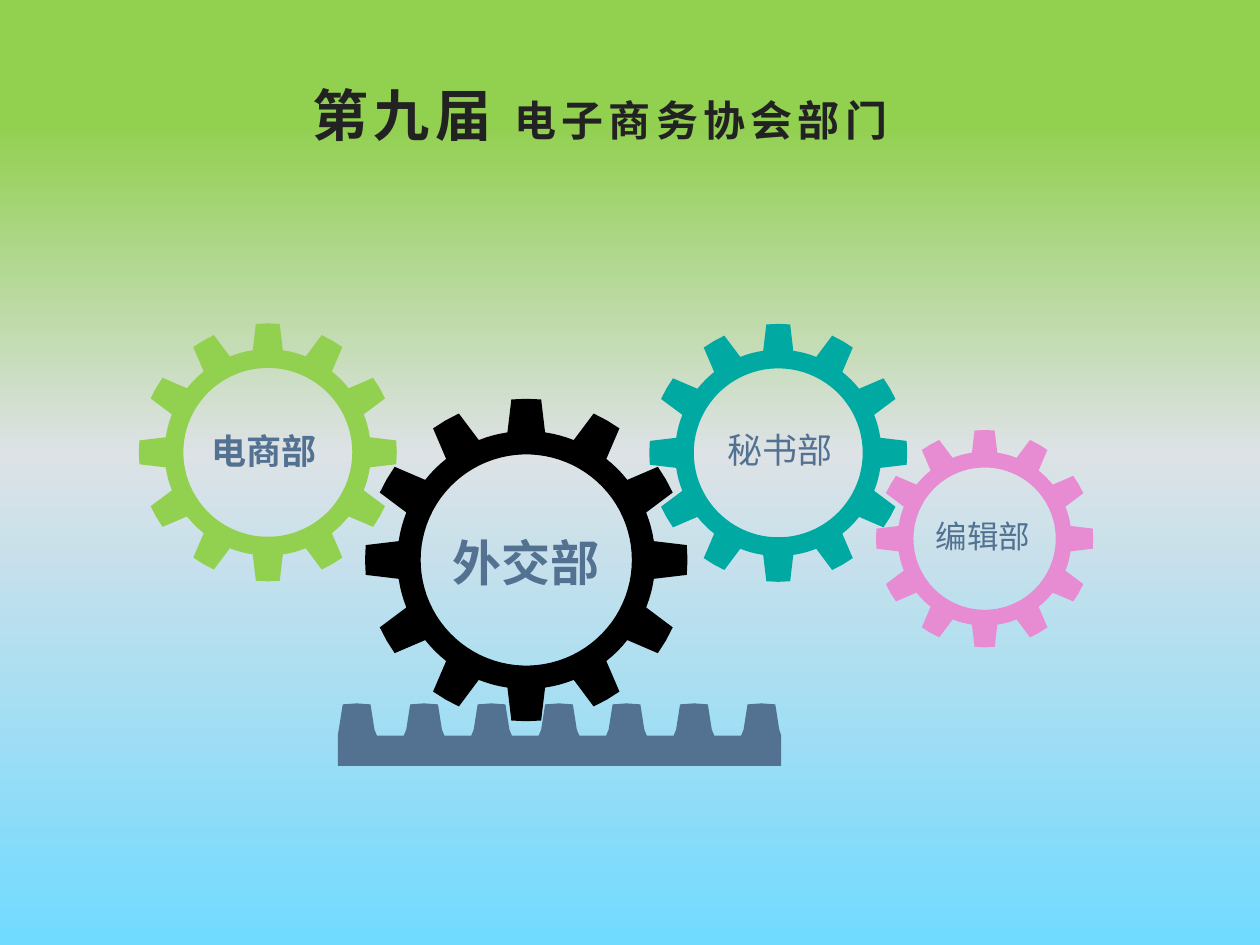
from copy import deepcopy
from dataclasses import dataclass
from math import cos, radians, sin

from lxml.etree import SubElement
from pptx import Presentation
from pptx.dml.color import RGBColor
from pptx.enum.text import MSO_AUTO_SIZE, PP_ALIGN
from pptx.oxml.ns import qn
from pptx.util import Cm, Pt


@dataclass(frozen=True)
class Theme:
    sky: tuple = ((0.13, "92D050"), (0.48, "DDE2E6"), (1, "71DAFF"))
    title: str = "222222"
    slate: str = "537292"
    pink: str = "E78BD3"
    teal: str = "00AAA2"
    green: str = "92D050"
    black: str = "000000"
    title_font: str = "Noto Sans CJK JP"
    label_font: str = "Noto Sans CJK SC"
    title_large: int = 32
    title_small: int = 24
    label_large: int = 28
    label_medium: int = 20
    label_small: int = 18


theme = Theme()
deck = Presentation()
deck.slide_width, deck.slide_height = Cm(25.4), Cm(19.05)
page = deck.slides.add_slide(deck.slide_layouts[6])


def add_outline(contours, color):
    """Draw closed contours, given in centimetres, as one filled shape."""
    contours = [[(Cm(x), Cm(y)) for x, y in contour] for contour in contours]
    builder = page.shapes.build_freeform(*contours[0][0])
    for number, contour in enumerate(contours):
        if number:
            builder.move_to(*contour[0])
        builder.add_line_segments(contour[1:], close=True)
    shape = builder.convert_to_shape()
    shape.shadow.inherit = False
    shape.fill.solid()
    shape.fill.fore_color.rgb = RGBColor.from_string(color)
    shape.line.fill.background()


def add_text(left, top, width, height, spans, font, color, bold, align=PP_ALIGN.LEFT, spacing=0):
    """Write one line of (text, size) spans in a text box."""
    box = page.shapes.add_textbox(Cm(left), Cm(top), Cm(width), Cm(height))
    box.text_frame.word_wrap = True
    box.text_frame.auto_size = MSO_AUTO_SIZE.SHAPE_TO_FIT_TEXT
    para = box.text_frame.paragraphs[0]
    para.alignment = align
    para.font.name = font
    para.font.bold = bold
    para.font.color.rgb = RGBColor.from_string(color)
    properties = para._p.find(".//" + qn("a:defRPr"))
    properties.set("spc", str(spacing * 100))
    SubElement(properties, qn("a:ea"), typeface=font)
    for text, size in spans:
        span = para.add_run()
        span.text = text
        span.font.size = Pt(size)


# Background gradient, top to bottom
sky = page.background.fill
sky.gradient()
sky.gradient_angle = 270
stop_list = page.element.find(".//" + qn("a:gsLst"))
stop_list.append(deepcopy(stop_list[0]))
for stop, (position, color) in zip(sky.gradient_stops, theme.sky):
    stop.position = position
    stop.color.rgb = RGBColor.from_string(color)

# Title
add_text(6.05, 1.5, 15.24, 1.63,
         [("第九届 ", theme.title_large), ("电子商务协会部门", theme.title_small)],
         theme.title_font, theme.title, True, spacing=3)

# Gears: centre x, centre y, outer radius, colour
gears = [
    (19.85, 10.86, 2.19, theme.pink),
    (15.69, 9.13, 2.6, theme.teal),
    (5.4, 9.12, 2.6, theme.green),
    (10.61, 11.29, 3.25, theme.black),
]
# One tooth and the valley after it: angle in degrees, share of the radius
tooth = [(-8.4, 0.8), (-5.3, 1), (0, 1), (5.3, 1), (8.4, 0.8), (12, 0.8), (15, 0.8), (18, 0.8)]
rim = [(30 * step + angle, share) for step in range(12) for angle, share in tooth]
hole = [(angle, 0.655) for angle in range(0, 360, 4)]
for center_x, center_y, radius, color in gears:
    add_outline([[(center_x + radius * share * cos(radians(angle)),
                   center_y + radius * share * sin(radians(angle)))
                  for angle, share in contour] for contour in (rim, hole)], color)

# Department labels
labels = [
    ("外交部", 8.86, 10.62, 3.48, 1.45, theme.label_large, True),
    ("电商部", 3.76, 8.53, 3.12, 1.12, theme.label_medium, True),
    ("秘书部", 14.17, 8.51, 3.12, 1.12, theme.label_medium, False),
    ("编辑部", 18.26, 10.29, 3.12, 1.02, theme.label_small, False),
]
for text, left, top, width, height, size, bold in labels:
    add_text(left, top, width, height, [(text, size)], theme.label_font, theme.slate, bold,
             PP_ALIGN.CENTER)

# Toothed rack under the large gear
rack_left, rack_right, rack_bottom = 6.81, 15.75, 15.44
profile = [(-0.41, 14.83), (-0.36, 14.71), (-0.28, 14.2), (0, 14.18),
           (0.28, 14.2), (0.36, 14.71), (0.41, 14.83)]
teeth = [(min(max(7.19 + 1.36 * step + offset, rack_left), rack_right), y)
         for step in range(7) for offset, y in profile]
add_outline([teeth + [(rack_right, rack_bottom), (rack_left, rack_bottom)]], theme.slate)

deck.save("out.pptx")
